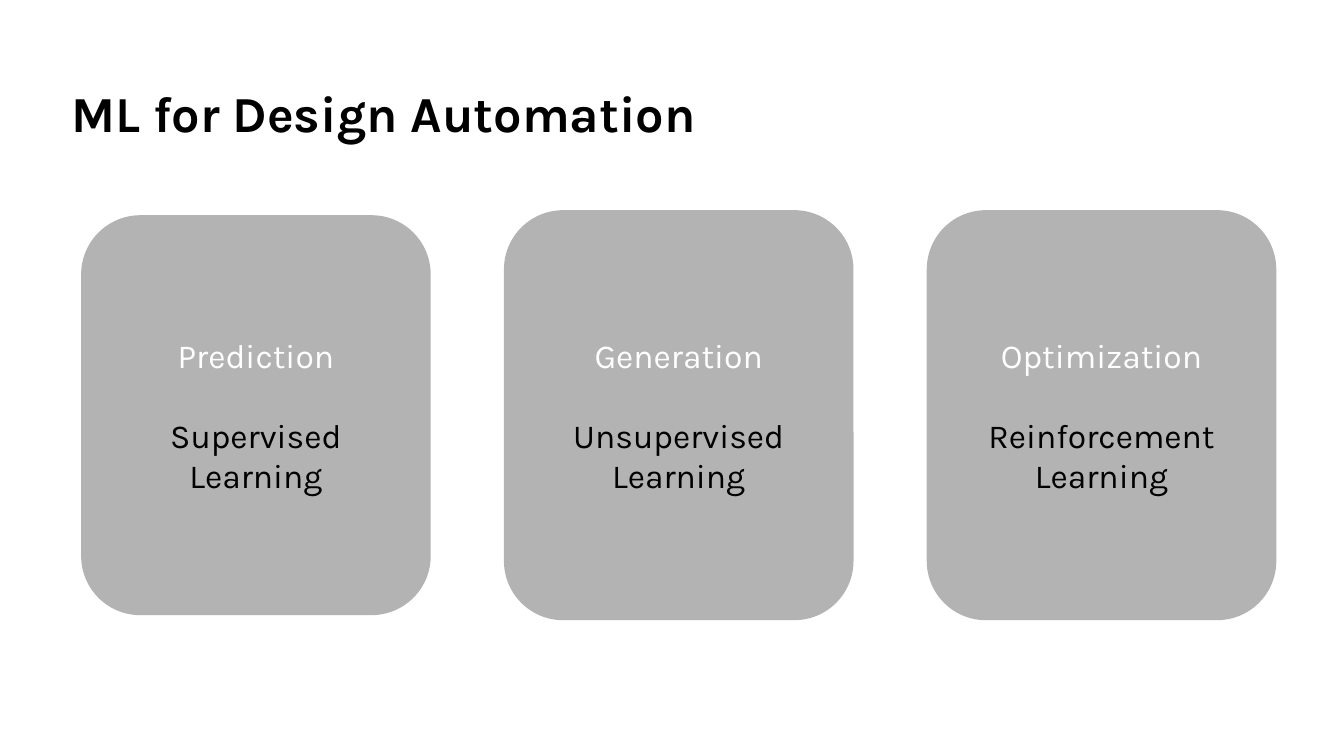
from pptx import Presentation
from pptx.dml.color import RGBColor
from pptx.enum.shapes import MSO_SHAPE
from pptx.enum.text import MSO_ANCHOR, PP_ALIGN
from pptx.util import Pt

BLACK = RGBColor(0x00, 0x00, 0x00)
WHITE = RGBColor(0xFF, 0xFF, 0xFF)
GRAY = RGBColor(0xB3, 0xB3, 0xB3)

CARD_LEFT, CARD_PITCH, CARD_WIDTH = 59, 302, 247.7
CARD_MIDDLE = 296.6
CARDS = [
    ("Prediction", "Supervised Learning", 283.7),
    ("Generation", "Unsupervised Learning", 290.9),
    ("Optimization", "Reinforcement Learning", 290.9),
]


class SlideBuilder:
    font_name = "Karla"
    title_size = 36
    card_size = 24
    task_gap = 28.5

    def __init__(self, slide):
        self.slide = slide

    def format_text(self, paragraph, size, color, bold=False):
        for run in paragraph.runs:
            run.font.name = self.font_name
            run.font.size = Pt(size)
            run.font.bold = bold
            run.font.color.rgb = color

    def title(self, text, left, top, width, height):
        shape = self.slide.shapes.add_textbox(Pt(left), Pt(top), Pt(width), Pt(height))
        text_frame = shape.text_frame
        text_frame.word_wrap = True
        text_frame.vertical_anchor = MSO_ANCHOR.BOTTOM
        text_frame.margin_top = text_frame.margin_bottom = Pt(7.2)
        text_frame.text = text
        paragraph = text_frame.paragraphs[0]
        paragraph.line_spacing = 0.9
        self.format_text(paragraph, self.title_size, BLACK, bold=True)

    def card(self, task, method, left, middle, width, height):
        shape = self.slide.shapes.add_shape(
            MSO_SHAPE.ROUNDED_RECTANGLE,
            Pt(left), Pt(middle - height / 2), Pt(width), Pt(height),
        )
        shape.shadow.inherit = False
        shape.fill.solid()
        shape.fill.fore_color.rgb = GRAY
        shape.line.color.rgb = GRAY
        shape.line.width = Pt(2)
        text_frame = shape.text_frame
        text_frame.word_wrap = True
        text_frame.vertical_anchor = MSO_ANCHOR.MIDDLE
        text_frame.text = f"{task}\n{method}"
        for paragraph, color in zip(text_frame.paragraphs, (WHITE, BLACK)):
            paragraph.alignment = PP_ALIGN.CENTER
            self.format_text(paragraph, self.card_size, color)
        text_frame.paragraphs[1].space_before = Pt(self.task_gap)


def main():
    presentation = Presentation()
    presentation.slide_width = Pt(960)
    presentation.slide_height = Pt(540)
    builder = SlideBuilder(presentation.slides.add_slide(presentation.slide_layouts[6]))
    builder.title("ML for Design Automation", 44, 57.6, 872.6, 51.8)
    for index, (task, method, height) in enumerate(CARDS):
        left = CARD_LEFT + index * CARD_PITCH
        builder.card(task, method, left, CARD_MIDDLE, CARD_WIDTH, height)
    presentation.save("out.pptx")


if __name__ == "__main__":
    main()
